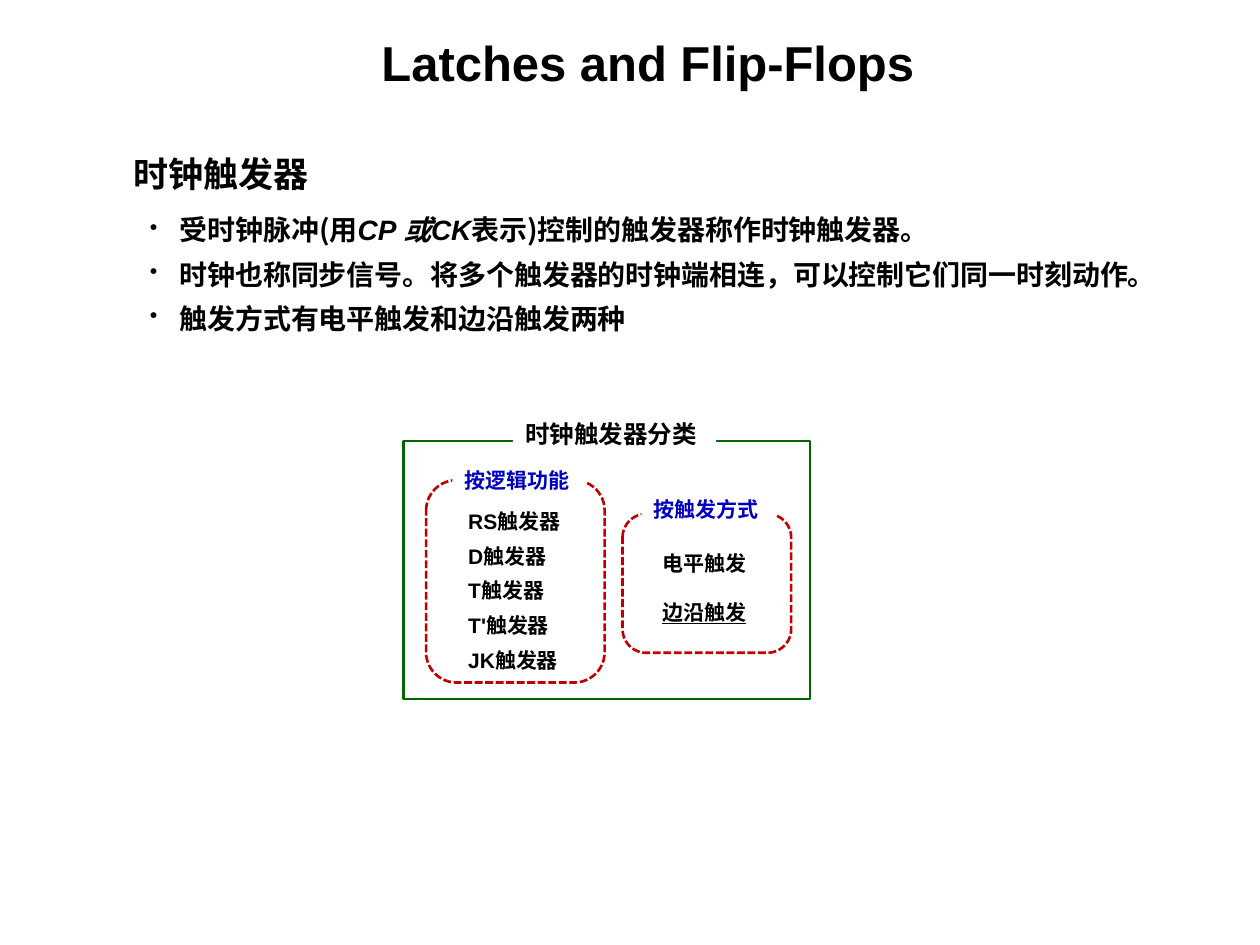
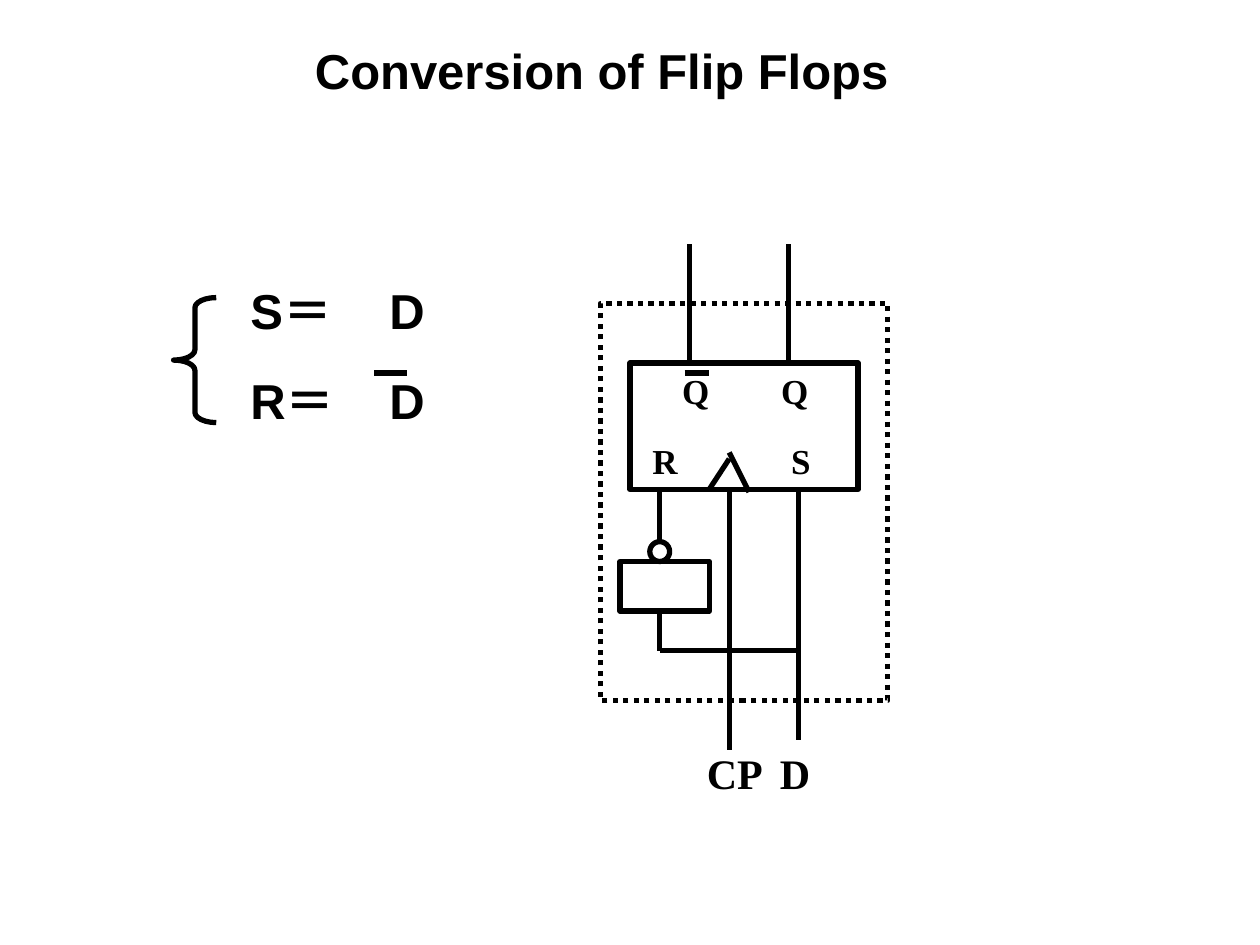
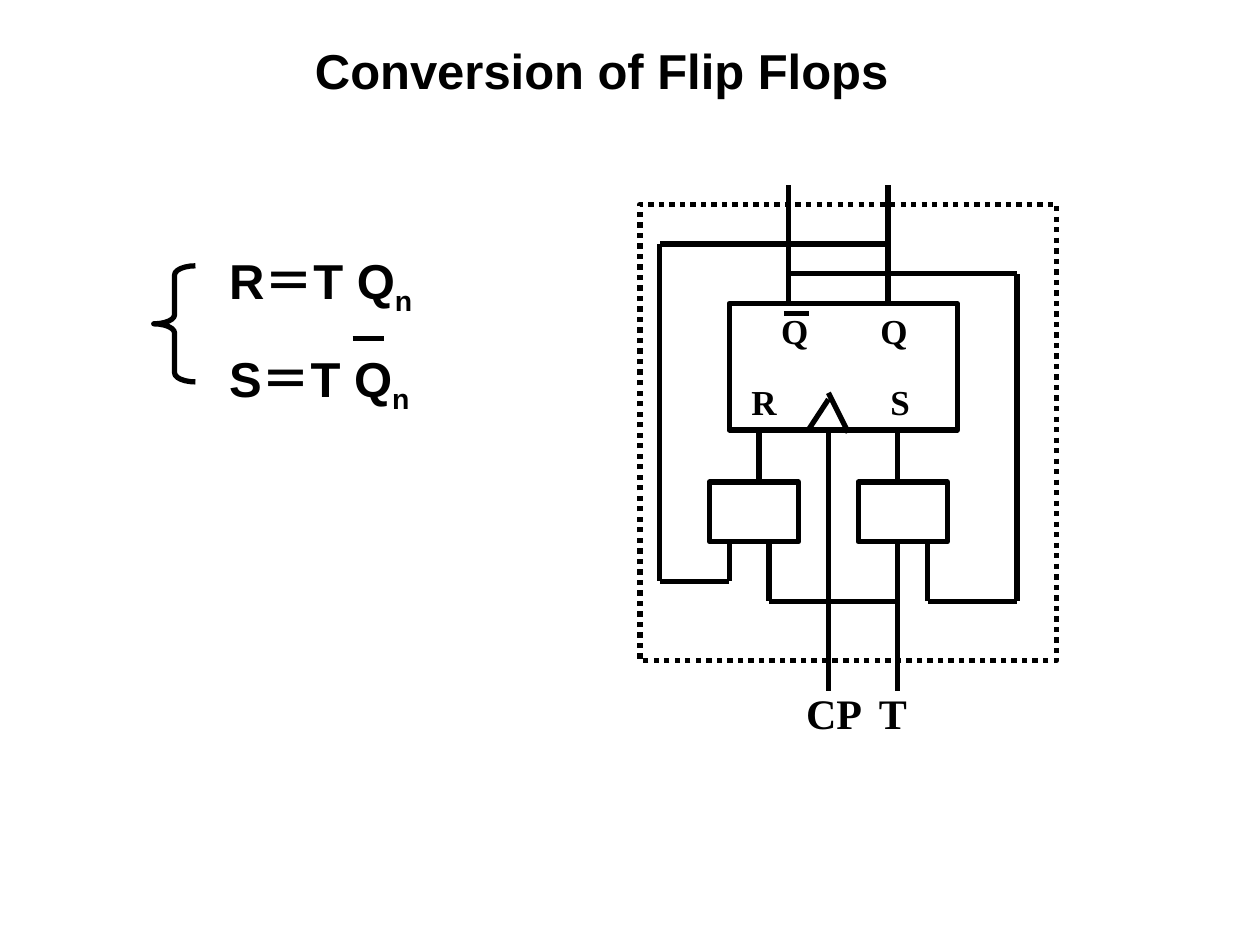
"""Build three slides about clocked flip-flops and their conversion."""
from itertools import pairwise

from lxml import etree
from pptx import Presentation
from pptx.dml.color import RGBColor
from pptx.enum.dml import MSO_LINE
from pptx.enum.shapes import MSO_CONNECTOR, MSO_SHAPE
from pptx.oxml.ns import qn
from pptx.util import Cm, Pt

RECT = MSO_SHAPE.RECTANGLE
ROUNDED = MSO_SHAPE.ROUNDED_RECTANGLE
OVAL = MSO_SHAPE.OVAL
BRACE = MSO_SHAPE.LEFT_BRACE
STRAIGHT = MSO_CONNECTOR.STRAIGHT
DASHED = MSO_LINE.SQUARE_DOT
DOTTED = MSO_LINE.ROUND_DOT

COLORS = {
    "ink": "000000",
    "paper": "FFFFFF",
    "frame": "006600",
    "group": "C00000",
    "caption": "0000BF",
}
SANS, SERIF, CJK = "Arial", "Times New Roman", "Noto Sans CJK SC"


def color(name):
    return RGBColor.from_string(COLORS[name])


class Deck:
    """Holds the style, the current slide and the origin of its drawing."""

    def __init__(self):
        self.prs = Presentation()
        self.prs.slide_width, self.prs.slide_height = Cm(25.4), Cm(19.05)
        self.slide = None
        self.origin = (0, 0)

    def new_slide(self, title, left, top, width):
        self.slide = self.prs.slides.add_slide(self.prs.slide_layouts[6])
        self.origin = (0, 0)
        self.text(left, top, width, 1.45, [title], 28, before=17.5)

    def point(self, x, y):
        return Cm(self.origin[0] + x), Cm(self.origin[1] + y)

    def text(self, left, top, width, height, lines, size, font=SANS, ink="ink",
             fill=None, before=0, spacing=None, tab=None, bullet=False):
        box = self.slide.shapes.add_textbox(*self.point(left, top), Cm(width), Cm(height))
        if fill:
            box.fill.solid()
            box.fill.fore_color.rgb = color(fill)
        frame = box.text_frame
        frame.word_wrap = True
        for number, line in enumerate(lines):
            paragraph = frame.add_paragraph() if number else frame.paragraphs[0]
            paragraph.space_before = Pt(before)
            if spacing:
                paragraph.line_spacing = spacing
            if bullet:
                self.bullet(paragraph)
            if tab:
                self.tab_stop(paragraph, tab)
            for part in [(line, {})] if isinstance(line, str) else line:
                self.run(paragraph, part, size, font, ink)

    def run(self, paragraph, part, size, font, ink):
        words, style = part
        run = paragraph.add_run()
        run.text = words
        run.font.size = Pt(size)
        run.font.bold = True
        run.font.italic = style.get("italic")
        run.font.underline = style.get("underline")
        run.font.color.rgb = color(ink)
        run.font.name = style.get("font", font)
        properties = run.font._element
        etree.SubElement(properties, qn("a:ea"), typeface=CJK)
        if style.get("subscript"):
            properties.set("baseline", "-25000")

    def bullet(self, paragraph):
        properties = paragraph._p.get_or_add_pPr()
        properties.set("marL", str(Cm(0.6)))
        properties.set("indent", str(-Cm(0.6)))
        tint = etree.SubElement(properties, qn("a:buClr"))
        etree.SubElement(tint, qn("a:srgbClr"), val=COLORS["ink"])
        etree.SubElement(properties, qn("a:buSzPct"), val="80000")
        etree.SubElement(properties, qn("a:buChar"), char="•")

    def tab_stop(self, paragraph, position):
        stops = etree.SubElement(paragraph._p.get_or_add_pPr(), qn("a:tabLst"))
        etree.SubElement(stops, qn("a:tab"), pos=str(Cm(position)), algn="l")

    def outline(self, kind, left, top, width, height, ink="ink", weight=3,
                dash=None, adjust=None):
        shape = self.slide.shapes.add_shape(
            kind, *self.point(left, top), Cm(width), Cm(height))
        shape.shadow.inherit = False
        shape.fill.background()
        shape.line.color.rgb = color(ink)
        shape.line.width = Pt(weight)
        if dash:
            shape.line.dash_style = dash
        if adjust:
            shape.adjustments[0] = adjust

    def wire(self, *corners):
        for start, end in pairwise(corners):
            line = self.slide.shapes.add_connector(
                STRAIGHT, *self.point(*start), *self.point(*end))
            line.line.color.rgb = color("ink")
            line.line.width = Pt(3)
            etree.SubElement(line._element.spPr, qn("a:effectLst"))

    def flip_flop(self, left, top, data_pin):
        self.origin = (left, top)
        self.outline(RECT, 0, 0, 4.6, 2.55)
        self.wire((2, 1.93), (1.6, 2.54))
        self.wire((2, 1.8), (2.4, 2.6))
        self.wire((2, 2.6), (2, 7.8))
        for output in (1.2, 3.2):
            self.wire((output, 0), (output, -2.4))
        for control in (0.6, 3.4):
            self.wire((control, 2.6), (control, 3.6))
        for name, x, y in (("Q", 0.8, 0), ("R", 0.2, 1.42), ("Q", 2.8, 0), ("S", 3, 1.42)):
            self.text(x, y, 1, 1.12, [name], 20, SERIF)
        self.wire((1.1, 0.2), (1.6, 0.2))
        self.text(1.3, 7.62, 3, 1.2, [f"CP\t{data_pin}"], 24, SERIF, tab=1.47)


deck = Deck()

deck.new_slide("Latches and Flip-Flops", 7.44, 0.53, 13.2)
deck.text(2.44, 2.95, 4.6, 1.12, ["时钟触发器"], 20)
slanted = {"font": SANS, "italic": True}
deck.text(2.77, 4.17, 20.8, 2.72, [
    [("受时钟脉冲(用", {}), ("CP ", slanted), ("或", {"italic": True}),
     ("CK", slanted), ("表示)控制的触发器称作时钟触发器。", {})],
    "时钟也称同步信号。将多个触发器的时钟端相连，可以控制它们同一时刻动作。",
    "触发方式有电平触发和边沿触发两种",
], 16, CJK, before=6, bullet=True)
deck.outline(RECT, 8.13, 8.89, 8.2, 5.2, "frame", 1.5)
families = [[(name, {}), ("触发器", {"font": CJK})] for name in ("RS", "D", "T", "T'", "JK")]
deck.text(9.19, 10.21, 2.8, 3.48, families, 12, before=7.5, spacing=0.85)
deck.text(13.1, 10.97, 2.44, 0.76, ["电平触发"], 12, CJK, before=7.5)
deck.text(13.1, 11.96, 2.44, 0.76, [[("边沿触发", {"underline": True})]], 12, CJK, before=7.5)
for caption, left, top, width, height, caption_left, caption_top in (
    ("按逻辑功能", 8.59, 9.68, 3.6, 4.08, 9.12, 9.3),
    ("按触发方式", 12.55, 10.36, 3.4, 2.8, 12.93, 9.88),
):
    deck.outline(ROUNDED, left, top, width, height, "group", 1.5, DASHED, 0.17)
    deck.text(caption_left, caption_top, 2.7, 0.76, [caption], 12, CJK,
              "caption", "paper", before=7.5)
deck.text(10.34, 8.33, 4.1, 0.86, ["时钟触发器分类"], 14, fill="paper")

deck.new_slide("Conversion of Flip Flops", 6.1, 0.69, 12.6)
deck.text(4.8, 5.54, 6.1, 3.25, ["S＝\tD", "R＝\tD"], 28, before=17.5, tab=2.8)
deck.outline(BRACE, 3.5, 6, 0.86, 2.52, adjust=0.24)
deck.wire((7.54, 7.52), (8.2, 7.52))
deck.flip_flop(12.7, 7.32, "D")
deck.outline(RECT, -0.2, 4, 1.8, 1)
deck.outline(OVAL, 0.4, 3.6, 0.4, 0.4)
deck.wire((3.4, 2.8), (3.4, 7.6))
deck.wire((0.6, 5), (0.6, 5.8), (3.4, 5.8))
deck.outline(RECT, -0.6, -1.2, 5.8, 8, dash=DOTTED)

deck.new_slide("Conversion of Flip Flops", 6.1, 0.69, 12.6)
equations = [[(f"{name}＝T Q", {}), ("n", {"subscript": True})] for name in "RS"]
deck.text(4.37, 4.93, 5.92, 3.58, equations, 28, before=17.5)
deck.outline(BRACE, 3.1, 5.36, 0.84, 2.34, adjust=0.22)
deck.wire((7.11, 6.83), (7.75, 6.83))
deck.flip_flop(14.7, 6.12, "T")
for gate in (-0.4, 2.6):
    deck.outline(RECT, gate, 3.6, 1.8, 1.2)
deck.wire((3.4, 4.8), (3.4, 7.8))
deck.wire((0.8, 4.8), (0.8, 6), (3.4, 6))
deck.wire((1.2, -0.6), (5.8, -0.6), (5.8, 6), (4, 6), (4, 4.8))
deck.wire((3.2, -1.2), (-1.4, -1.2), (-1.4, 5.6), (0, 5.6), (0, 4.8))
deck.outline(RECT, -1.8, -2, 8.4, 9.2, dash=DOTTED)

deck.prs.save("out.pptx")
